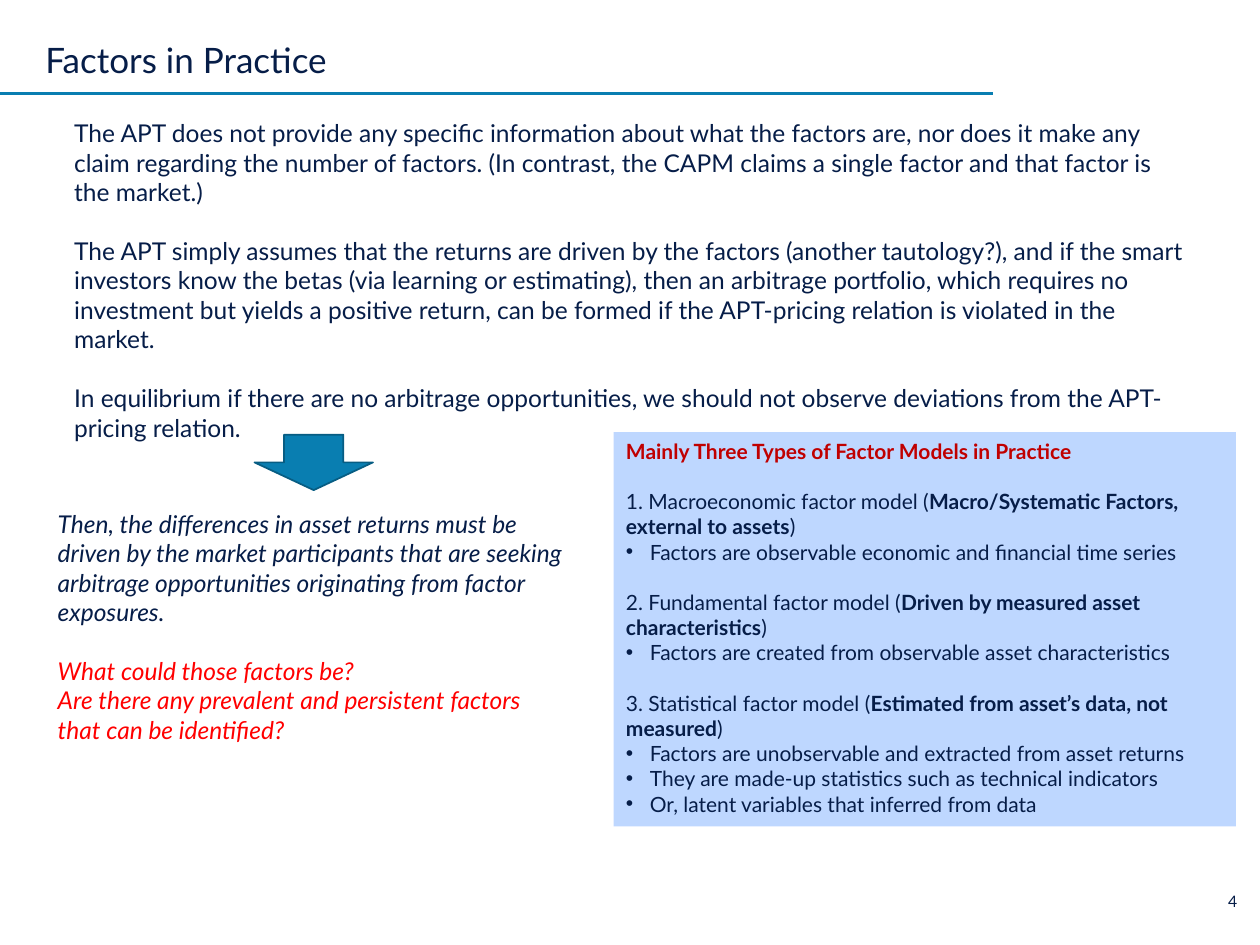
"""Build the "Factors in Practice" slide."""
from lxml import etree
from pptx import Presentation
from pptx.dml.color import RGBColor
from pptx.enum.shapes import MSO_CONNECTOR, MSO_SHAPE
from pptx.enum.text import MSO_ANCHOR, PP_ALIGN
from pptx.oxml.ns import qn
from pptx.util import Inches, Pt

STRAIGHT = MSO_CONNECTOR.STRAIGHT
RECTANGLE, DOWN_ARROW = MSO_SHAPE.RECTANGLE, MSO_SHAPE.DOWN_ARROW
TOP, BOTTOM = MSO_ANCHOR.TOP, MSO_ANCHOR.BOTTOM
LEFT, RIGHT = PP_ALIGN.LEFT, PP_ALIGN.RIGHT

FONT = "Lato"
LINE_HEIGHT = 1.2
BULLET_INDENT = 0.19
COLORS = {
    "navy": "061D48",
    "teal": "097EB1",
    "dark_teal": "075D83",
    "panel": "BED7FF",
    "crimson": "C00000",
    "red": "FF0000",
}

TITLE = "Factors in Practice"
PAGE_NUMBER = "4"
APT_PARAGRAPHS = [
    "The APT does not provide any specific information about what the factors are, nor does it make any "
    "claim regarding the number of factors. (In contrast, the CAPM claims a single factor and that factor "
    "is the market.)",
    "The APT simply assumes that the returns are driven by the factors (another tautology?), and if the "
    "smart investors know the betas (via learning or estimating), then an arbitrage portfolio, which "
    "requires no investment but yields a positive return, can be formed if the APT-pricing relation is "
    "violated in the market.",
    "In equilibrium if there are no arbitrage opportunities, we should not observe deviations from the "
    "APT-pricing relation.",
]
CONCLUSION = (
    "Then, the differences in asset returns must be driven by the market participants that are seeking "
    "arbitrage opportunities originating from factor exposures."
)
QUESTIONS = [
    "What could those factors be?",
    "Are there any prevalent and persistent factors that can be identified?",
]
MODELS_HEADING = "Mainly Three Types of Factor Models in Practice"
MODELS = [
    ("Macroeconomic factor model", "Macro/Systematic Factors, external to assets",
     ["Factors are observable economic and financial time series"]),
    ("Fundamental factor model", "Driven by measured asset characteristics",
     ["Factors are created from observable asset characteristics"]),
    ("Statistical factor model", "Estimated from asset’s data, not measured",
     ["Factors are unobservable and extracted from asset returns",
      "They are made-up statistics such as technical indicators",
      "Or, latent variables that inferred from data"]),
]


def rgb(name):
    return RGBColor.from_string(COLORS[name])


def entry(*runs, gap=False, bullet=False, **formats):
    return {"runs": runs, "gap": gap, "bullet": bullet, "formats": formats}


def add_bullet(paragraph):
    properties = paragraph._p.get_or_add_pPr()
    properties.set("marL", str(Inches(BULLET_INDENT)))
    properties.set("indent", str(-Inches(BULLET_INDENT)))
    etree.SubElement(properties, qn("a:buFont")).set("typeface", "Arial")
    etree.SubElement(properties, qn("a:buChar")).set("char", "•")


def write_text(shape, entries, size, margins=(0.1, 0.05), anchor=TOP, align=LEFT, spacing=None):
    frame = shape.text_frame
    horizontal, vertical = map(Inches, margins)
    settings = {
        "word_wrap": True, "vertical_anchor": anchor,
        "margin_left": horizontal, "margin_right": horizontal,
        "margin_top": vertical, "margin_bottom": vertical,
    }
    for name, value in settings.items():
        setattr(frame, name, value)
    for index, item in enumerate(entries):
        paragraph = frame.add_paragraph() if index else frame.paragraphs[0]
        paragraph.alignment = align
        if spacing:
            paragraph.line_spacing = spacing
        if item["gap"]:
            paragraph.space_before = Pt(size * LINE_HEIGHT)
        if item["bullet"]:
            add_bullet(paragraph)
        for text, bold in item["runs"]:
            run = paragraph.add_run()
            run.text = text
            formats = {"name": FONT, "size": Pt(size), "bold": bold,
                       "italic": item["formats"].get("italic", False)}
            for name, value in formats.items():
                setattr(run.font, name, value)
            run.font.color.rgb = rgb(item["formats"].get("color", "navy"))


def add_text(slide, box, entries, size, **options):
    shape = slide.shapes.add_textbox(*map(Inches, box))
    write_text(shape, entries, size, **options)


def add_filled_shape(slide, kind, box, fill, line=None):
    shape = slide.shapes.add_shape(kind, *map(Inches, box))
    shape.shadow.inherit = False
    shape.fill.solid()
    shape.fill.fore_color.rgb = rgb(fill)
    if line:
        shape.line.color.rgb = rgb(line)
        shape.line.width = Pt(1)
    else:
        shape.line.fill.background()
    return shape


def add_title_rule(slide):
    rule = slide.shapes.add_connector(STRAIGHT, 0, Inches(0.74), Inches(7.88), Inches(0.74))
    rule.line.color.rgb = rgb("teal")
    rule.line.width = Pt(1.5)
    etree.SubElement(rule._element.spPr, qn("a:effectLst"))


def model_entries():
    entries = [entry((MODELS_HEADING, True), color="crimson")]
    for number, (model, detail, points) in enumerate(MODELS, 1):
        entries.append(entry((f"{number}. {model} (", False), (detail, True), (")", False), gap=True))
        entries += [entry((point, False), bullet=True) for point in points]
    return entries


def main():
    presentation = Presentation()
    presentation.slide_width, presentation.slide_height = Inches(10), Inches(7.5)
    slide = presentation.slides.add_slide(presentation.slide_layouts[6])

    add_title_rule(slide)
    add_text(slide, (9.51, 7.08, 0.31, 0.15), [entry((PAGE_NUMBER, False))], 9,
             margins=(0, 0), align=RIGHT)
    panel = add_filled_shape(slide, RECTANGLE, (4.87, 3.43, 4.94, 3.13), "panel")
    write_text(panel, model_entries(), 12)
    add_text(slide, (0.36, 0.1, 7.14, 0.54), [entry((TITLE, False))], 20,
             margins=(0, 0), anchor=BOTTOM, spacing=0.9)
    apt_entries = [entry((text, False), gap=index > 0) for index, text in enumerate(APT_PARAGRAPHS)]
    add_text(slide, (0.49, 0.89, 9.02, 2.69), apt_entries, 14)
    add_filled_shape(slide, DOWN_ARROW, (2.02, 3.45, 0.94, 0.44), "teal", "dark_teal")
    conclusion_entries = [entry((CONCLUSION, False), italic=True)] + [
        entry((text, False), gap=index == 0, italic=True, color="red")
        for index, text in enumerate(QUESTIONS)
    ]
    add_text(slide, (0.36, 3.99, 4.26, 1.99), conclusion_entries, 14)

    presentation.save("out.pptx")


if __name__ == "__main__":
    main()
